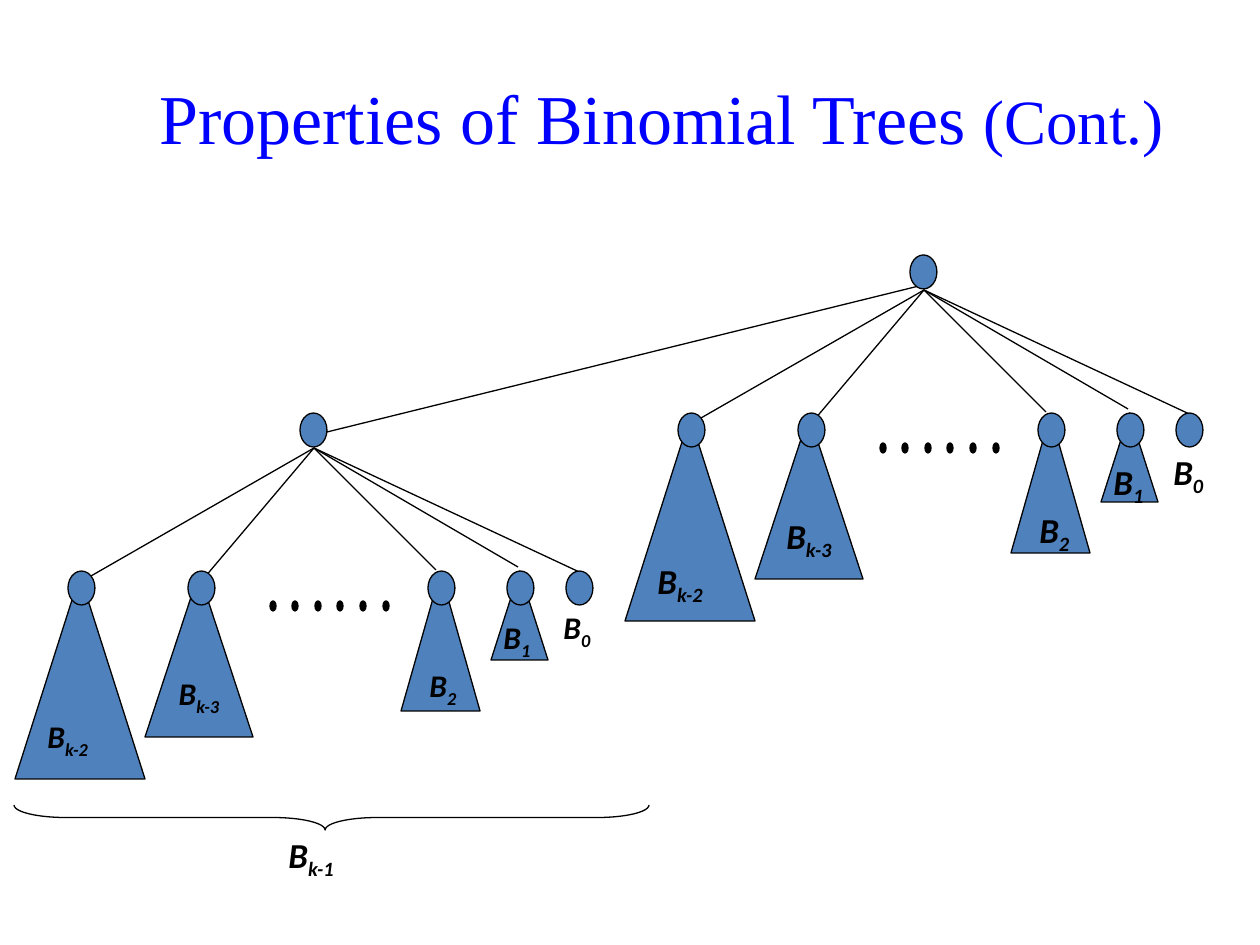
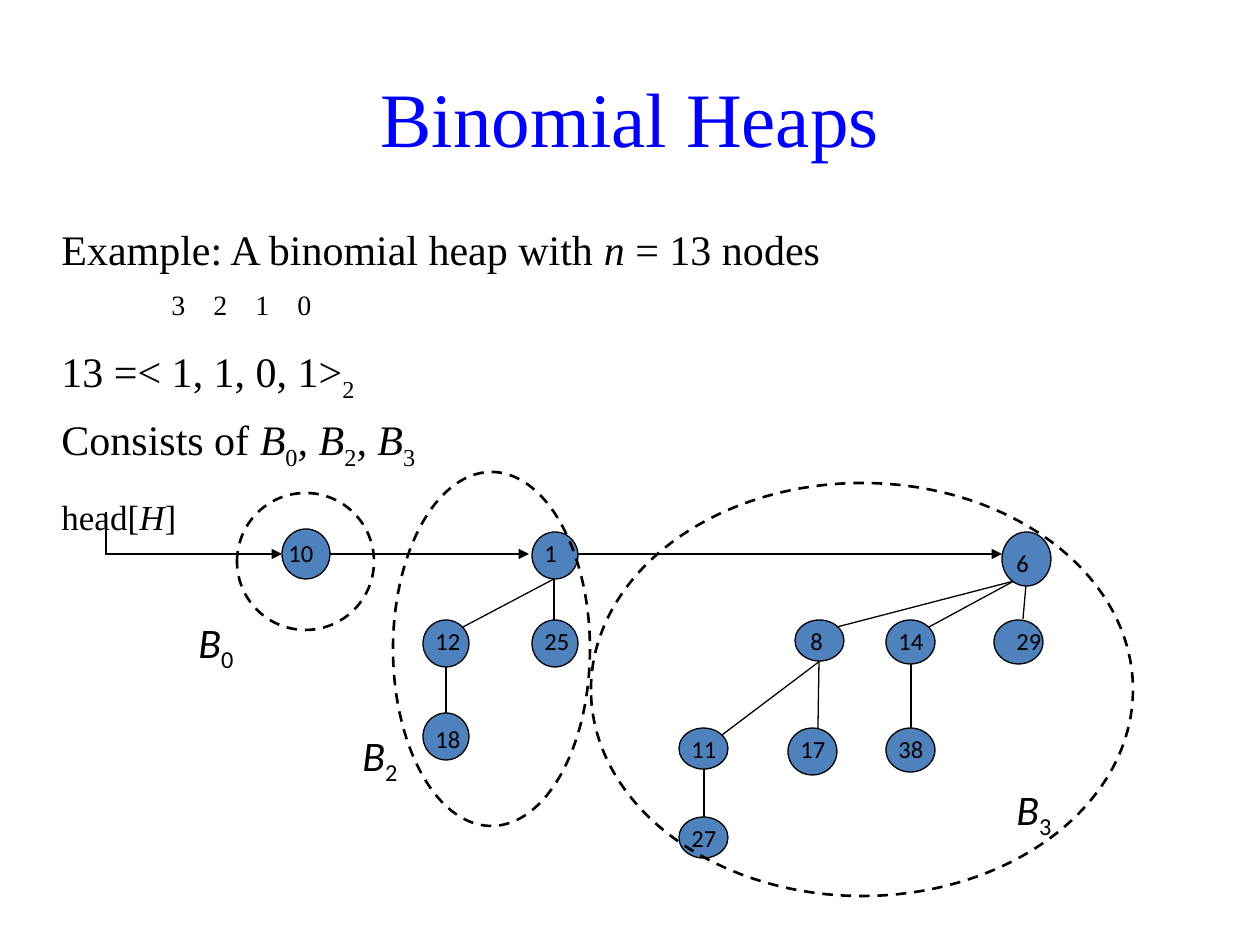
from lxml import etree
from pptx import Presentation
from pptx import util as u
from pptx.dml.color import RGBColor
from pptx.enum import dml, shapes, text
from pptx.oxml.ns import qn

EMU_PER_PX = 914400 / 126
SERIF, SANS = "Times New Roman", "Calibri"
BLUE, NODE, BLACK = "0000FF", "4F81BD", "000000"
SHAPE = shapes.MSO_SHAPE
SUB = {"sub": True}


def px(length):
    """Turn a length in px into EMU."""
    return u.Emu(round(length * EMU_PER_PX))


def color(hex_string):
    """Turn a hex string into a colour."""
    return RGBColor.from_string(hex_string)


def add_span(para, words, size, font=SANS, fill=BLACK, bold=False, italic=False, sub=False):
    """Add one formatted run to a paragraph."""
    span = para.add_run()
    span.text = words
    span.font.size = u.Pt(size)
    span.font.name = font
    span.font.bold = bold
    span.font.italic = italic
    span.font.color.rgb = color(fill)
    if sub:
        span._r.get_or_add_rPr().set("baseline", "-25000")


def add_box(page, left, top, width, height, wrap=True, fit=True):
    """Add a text box and return its text frame."""
    frame = page.shapes.add_textbox(px(left), px(top), px(width), px(height)).text_frame
    frame.word_wrap = wrap
    frame.auto_size = text.MSO_AUTO_SIZE.SHAPE_TO_FIT_TEXT if fit else text.MSO_AUTO_SIZE.NONE
    return frame


def add_title(page, width, spans):
    """Add the centred blue title from (words, size) pairs."""
    frame = add_box(page, 63, 38, width, 158, fit=False)
    frame.vertical_anchor = text.MSO_ANCHOR.MIDDLE
    para = frame.paragraphs[0]
    para.alignment = text.PP_ALIGN.CENTER
    for words, size in spans:
        add_span(para, words, size, SERIF, BLUE)


def add_tree_name(para, index, size, bold=True):
    """Write B with a subscript index."""
    add_span(para, "B", size, bold=bold, italic=True)
    add_span(para, index, size, bold=bold, italic=bold, sub=True)


def add_figure(page, kind, left, top, width, height, fill=NODE, weight=0.75):
    """Add an outlined preset shape, hollow when fill is None."""
    figure = page.shapes.add_shape(kind, px(left), px(top), px(width), px(height))
    figure.shadow.inherit = False
    if fill:
        figure.fill.solid()
        figure.fill.fore_color.rgb = color(fill)
    else:
        figure.fill.background()
    figure.line.color.rgb = color(BLACK)
    figure.line.width = u.Pt(weight)
    return figure


def add_line(page, start, end, arrow=False):
    """Add a thin black line, with an arrowhead at its end if asked."""
    line = page.shapes.add_connector(
        shapes.MSO_CONNECTOR.STRAIGHT, px(start[0]), px(start[1]), px(end[0]), px(end[1]))
    line.line.color.rgb = color(BLACK)
    line.line.width = u.Pt(0.75)
    if arrow:
        etree.SubElement(line.line._get_or_add_ln(), qn("a:tailEnd"), type="triangle")
    etree.SubElement(line._element.spPr, qn("a:effectLst"))


def add_tab_stops(para, stops):
    """Give a paragraph left tab stops."""
    tabs = etree.SubElement(para._p.get_or_add_pPr(), qn("a:tabLst"))
    for stop in stops:
        etree.SubElement(tabs, qn("a:tab"), pos=str(px(stop)), algn="l")


def add_binomial_tree(page, dx, dy, size):
    """Draw a root with its subtrees, moved by dx and dy."""
    def place(kind, left, top, width, height, fill=NODE):
        return add_figure(page, kind, left + dx, top + dy, width, height, fill)

    for left, top, width, height in ((401, 572, 79, 139), (491, 571, 57, 89), (15, 575, 130, 204)):
        place(SHAPE.ISOSCELES_TRIANGLE, left, top, width, height)
    frame = place(SHAPE.ISOSCELES_TRIANGLE, 145, 573, 108, 164).text_frame
    frame.word_wrap = False
    frame.vertical_anchor = text.MSO_ANCHOR.MIDDLE
    frame.paragraphs[0].alignment = text.PP_ALIGN.CENTER
    add_tree_name(frame.paragraphs[0], "k-3", size)

    for dot in range(6):
        place(SHAPE.OVAL, 270 + 113 * dot // 5, 601, 6, 10, BLACK)
    for x, y in ((91, 576), (205, 577), (436, 570), (518, 567), (590, 577)):
        add_line(page, (314 + dx, 448 + dy), (x + dx, y + dy))
    for index, left, top in (("k-2", 35, 711), ("2", 417, 660), ("1", 491, 612), ("0", 551, 602)):
        width = (4 if index == "k-2" else 3) * size + 2
        frame = add_box(page, left + dx, top + dy, width, 50, wrap=False)
        add_tree_name(frame.paragraphs[0], index, size)
    for left, top in ((68, 571), (188, 571), (428, 571), (507, 571), (566, 571), (300, 413)):
        place(SHAPE.OVAL, left, top, 27, 34)


def build_properties(page):
    """Build the slide that splits a tree into two smaller ones."""
    add_title(page, 1197, [("Properties of Binomial Trees ", 40), ("(Cont.)", 36)])
    add_line(page, (323, 433), (927, 284))
    add_binomial_tree(page, 0, 0, 18)
    add_binomial_tree(page, 610, -158, 20)
    brace = add_figure(page, SHAPE.LEFT_BRACE, 319, 500, 25, 635, None)
    brace.adjustments[0] = 2.07
    brace.adjustments[1] = 0.49
    brace.rotation = 270
    frame = add_box(page, 276, 827, 81, 81, wrap=False)
    add_tree_name(frame.paragraphs[0], "k-1", 20)


def add_example(page):
    """Write the lines that explain the example heap."""
    italic = {"italic": True}
    lines = [
        (0, 24, [("Example: A binomial heap with ", {}), ("n ", italic), ("= 13 nodes", {})]),
        (8, 16, [("\t3\t2\t1\t0", {})]),
        (14, 24, [("13 =< 1, 1, 0, 1>", {}), ("2", SUB)]),
        (6, 24, [("Consists of ", {}), ("B", italic), ("0", SUB), (", B", italic), ("2", SUB),
                 (", B", italic), ("3", SUB)]),
        (14, 20, [("head[", {}), ("H", italic), ("]", {})]),
    ]
    frame = add_box(page, 49, 217, 1153, 636, fit=False)
    for number, (gap, size, spans) in enumerate(lines):
        para = frame.add_paragraph() if number else frame.paragraphs[0]
        para.space_before = u.Pt(gap)
        for words, style in spans:
            add_span(para, words, size, SERIF, **style)
    add_tab_stops(frame.paragraphs[1], range(110, 237, 42))


def add_heap_node(page, key, left, top, width, height, dx=0, dy=0):
    """Draw a heap node and its key, shifted by dx and dy."""
    add_figure(page, SHAPE.OVAL, left, top, width, height)
    frame = add_box(page, left + dx, top + dy, 62, 41)
    add_span(frame.paragraphs[0], key, 14)


def build_heap(page):
    """Build the slide with the example heap of 13 nodes."""
    add_title(page, 1134, [("Binomial Heaps", 44)])
    add_example(page)

    edges = [
        ((446, 667), (446, 713)), ((554, 579), (554, 620)), ((463, 627), (554, 579)),
        ((704, 769), (704, 817)), ((819, 661), (818, 728)), ((911, 664), (911, 728)),
        ((1026, 585), (1023, 619)), ((929, 627), (1014, 581)), ((722, 735), (820, 661)),
        ((837, 627), (1014, 581)), ((106, 512), (106, 554)),
    ]
    for start, end in edges:
        add_line(page, start, end)
    for start, end in ((105, 282), (330, 529), (577, 1002)):
        add_line(page, (start, 554), (end, 554), arrow=True)

    nodes = [
        ("10", 282, 529, 48, 50, -6, 3),
        ("1", 532, 532, 46, 47), ("12", 423, 620, 46, 47), ("25", 532, 620, 46, 47),
        ("18", 423, 713, 46, 47, 0, 5),
        ("6", 1002, 532, 49, 54, 2, 10), ("8", 795, 620, 49, 41, 3),
        ("14", 886, 620, 49, 44), ("29", 994, 620, 49, 44, 10),
        ("11", 679, 728, 49, 41), ("17", 788, 728, 49, 47), ("38", 886, 728, 49, 44),
        ("27", 679, 817, 49, 41),
    ]
    for node in nodes:
        add_heap_node(page, *node)

    trees = [
        ("0", (186, 610), (237, 493, 137, 137)),
        ("2", (350, 723), (393, 472, 197, 354)),
        ("3", (1004, 777), (591, 483, 542, 413)),
    ]
    for index, (left, top), outline in trees:
        frame = add_box(page, left, top, 66, 64)
        add_tree_name(frame.paragraphs[0], index, 24, bold=False)
        ring = add_figure(page, SHAPE.OVAL, *outline, fill=None, weight=1.5)
        ring.line.dash_style = dml.MSO_LINE.DASH


def main():
    """Build and save the deck."""
    deck = Presentation()
    deck.slide_width, deck.slide_height = px(1260), px(945)
    for build in (build_properties, build_heap):
        build(deck.slides.add_slide(deck.slide_layouts[6]))
    deck.save("out.pptx")


if __name__ == "__main__":
    main()
